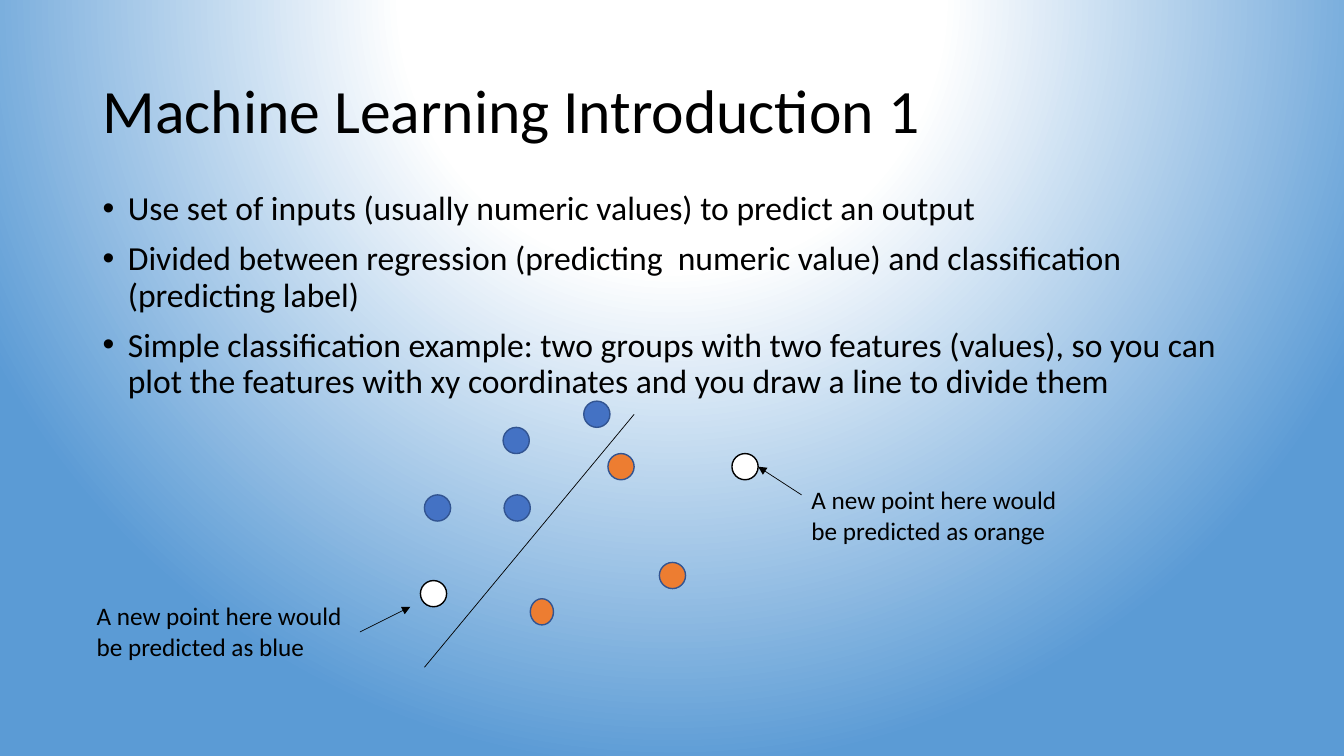
from lxml.etree import SubElement
from pptx import Presentation
from pptx.dml.color import RGBColor
from pptx.enum.shapes import MSO_CONNECTOR as Connector, MSO_SHAPE as Shape
from pptx.enum.text import MSO_ANCHOR as Anchor
from pptx.oxml import parse_xml
from pptx.oxml.ns import nsdecls, qn
from pptx.util import Inches, Pt

BLACK = RGBColor(0x00, 0x00, 0x00)
WHITE = RGBColor(0xFF, 0xFF, 0xFF)
BLUE = RGBColor(0x44, 0x72, 0xC4)
ORANGE = RGBColor(0xED, 0x7D, 0x31)
OUTLINE = RGBColor(0x32, 0x54, 0x91)
DOT = 0.26

deck = Presentation()
deck.slide_width, deck.slide_height = Inches(13.33), Inches(7.5)
page = deck.slides.add_slide(deck.slide_layouts[6])


def add_text(left, top, width, height, text, size):
    box = page.shapes.add_textbox(*map(Inches, (left, top, width, height)))
    frame = box.text_frame
    frame.word_wrap = True
    frame.text = text
    for para in frame.paragraphs:
        for span in para.runs:
            span.font.name = "Calibri"
            span.font.size = Pt(size)
            span.font.color.rgb = BLACK
    return frame


def add_line(start, end, arrow=False):
    line = page.shapes.add_connector(Connector.STRAIGHT, *map(Inches, start + end))
    line.line.color.rgb = BLACK
    line.line.width = Pt(0.5)
    if arrow:
        SubElement(line.line._get_or_add_ln(), qn("a:tailEnd"), type="triangle")
    SubElement(line._element.spPr, qn("a:effectLst"))


# Radial background, centred above the slide
page.background.fill.gradient()
gradient = page._element.find(".//" + qn("a:gradFill"))
radial = parse_xml(
    f'<a:gradFill {nsdecls("a")} rotWithShape="1"><a:gsLst>'
    '<a:gs pos="0"><a:srgbClr val="FFFFFF"/></a:gs>'
    '<a:gs pos="35000"><a:srgbClr val="FFFFFF"/></a:gs>'
    '<a:gs pos="100000"><a:srgbClr val="5B9BD5"/></a:gs></a:gsLst>'
    '<a:path path="circle">'
    '<a:fillToRect l="50000" t="-80000" r="50000" b="180000"/>'
    '</a:path></a:gradFill>'
)
gradient.getparent().replace(gradient, radial)

# Title and bullets
title = add_text(0.92, 0.4, 11.5, 1.45, "Machine Learning Introduction 1", 44)
title.vertical_anchor = Anchor.MIDDLE
title.paragraphs[0].line_spacing = 0.9

bullets = [
    "Use set of inputs (usually numeric values) to predict an output",
    "Divided between regression (predicting  numeric value) and classification "
    "(predicting label)",
    "Simple classification example: two groups with two features (values), so you can "
    "plot the features with xy coordinates and you draw a line to divide them",
]
body = add_text(0.92, 1.85, 11.5, 4.76, "\n".join(bullets), 24)
for para in body.paragraphs:
    para.line_spacing = 0.9
    para.space_before = Pt(10)
    properties = para._p.get_or_add_pPr()
    properties.set("marL", str(Inches(0.25)))
    properties.set("indent", str(-Inches(0.25)))
    SubElement(properties, qn("a:buFont"), typeface="Arial")
    SubElement(properties, qn("a:buChar"), char="•")

# Scatter of two groups, plus two new points: left, top, width
groups = [
    (BLUE, OUTLINE, [(4.99, 4.24, DOT), (4.21, 4.91, DOT), (5, 4.91, DOT), (5.79, 3.98, DOT)]),
    (ORANGE, OUTLINE, [(6.03, 4.5, DOT), (6.54, 5.58, DOT), (5.26, 5.94, 0.23)]),
    (WHITE, BLACK, [(7.26, 4.5, DOT), (4.17, 5.76, DOT)]),
]
for fill, outline, points in groups:
    for left, top, width in points:
        dot = page.shapes.add_shape(Shape.OVAL, *map(Inches, (left, top, width, DOT)))
        dot.shadow.inherit = False
        dot.fill.solid()
        dot.fill.fore_color.rgb = fill
        dot.line.color.rgb = outline
        dot.line.width = Pt(1)

# Dividing line and predictions
add_line((6.29, 4.11), (4.21, 6.62))
predictions = [
    ("orange", (7.95, 4.76), (7.95, 4.91), (7.52, 4.63)),
    ("blue", (0.86, 5.91), (3.57, 6.27), (4.07, 6.02)),
]
for label, (left, top), start, end in predictions:
    add_line(start, end, arrow=True)
    add_text(left, top, 2.71, 0.71, f"A new point here would be predicted as {label}", 18)

deck.save("out.pptx")
